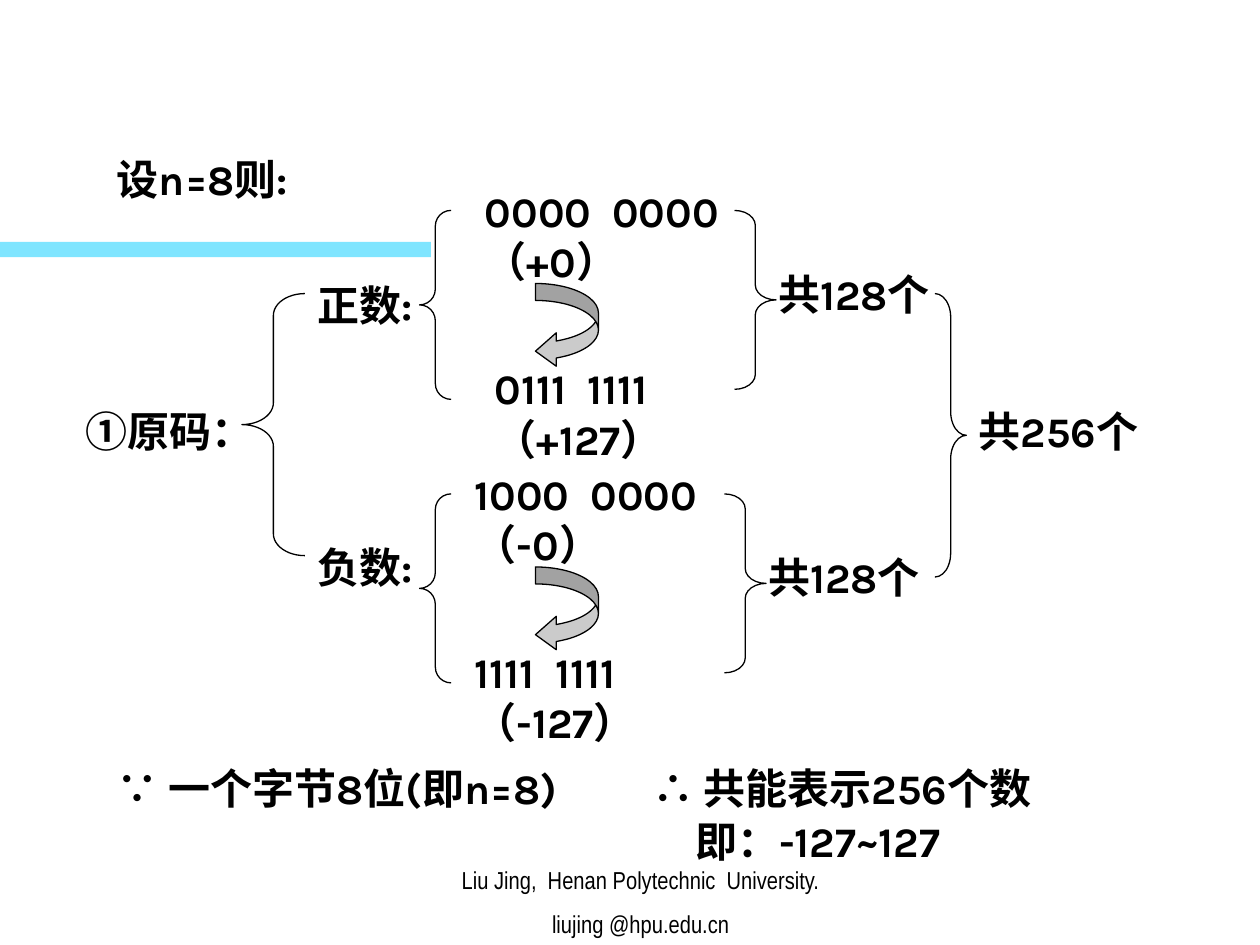
from lxml import etree
from pptx import Presentation
from pptx.dml.color import RGBColor
from pptx.enum.shapes import MSO_SHAPE
from pptx.enum.text import MSO_ANCHOR, MSO_AUTO_SIZE, PP_ALIGN
from pptx.oxml.ns import qn
from pptx.util import Inches, Pt

BLACK = RGBColor(0x00, 0x00, 0x00)
ARROW_GREY = RGBColor(0xCB, 0xCB, 0xCB)
ACCENT_CYAN = RGBColor(0x00, 0xCC, 0xFF)

BODY_FONT = "Karla"
SYMBOL_FONT = "Noto Sans CJK SC"
FOOTER_FONT = "Arial Narrow"

RECTANGLE = MSO_SHAPE.RECTANGLE
LEFT_BRACE = MSO_SHAPE.LEFT_BRACE
RIGHT_BRACE = MSO_SHAPE.RIGHT_BRACE
CURVED_ARROW = MSO_SHAPE.CURVED_LEFT_ARROW
TOP = MSO_ANCHOR.TOP
BOTTOM = MSO_ANCHOR.BOTTOM
FIT_SHAPE = MSO_AUTO_SIZE.SHAPE_TO_FIT_TEXT
NO_FIT = MSO_AUTO_SIZE.NONE
LEFT = PP_ALIGN.LEFT
CENTER = PP_ALIGN.CENTER


def add_run(paragraph, words, font_name, size, bold):
    run = paragraph.add_run()
    run.text = words
    run.font.name = font_name
    run.font.size = Pt(size)
    run.font.bold = bold
    run.font.color.rgb = BLACK
    east_asian = etree.SubElement(run.font._element, qn("a:ea"))
    east_asian.set("typeface", font_name)


def add_text(slide, words, left, top, width, height=0.5, symbol="", font_name=BODY_FONT,
             size=24, bold=True, align=LEFT, anchor=TOP, fit=FIT_SHAPE, gap=0):
    box = slide.shapes.add_textbox(Inches(left), Inches(top), Inches(width), Inches(height))
    frame = box.text_frame
    frame.word_wrap = True
    frame.auto_size = fit
    frame.vertical_anchor = anchor
    for index, line in enumerate(words.split("\n")):
        paragraph = frame.add_paragraph() if index else frame.paragraphs[0]
        paragraph.alignment = align
        if index:
            paragraph.space_before = Pt(gap)
        elif symbol:
            add_run(paragraph, symbol, SYMBOL_FONT, size, bold)
        add_run(paragraph, line, font_name, size, bold)


def add_plain_shape(slide, kind, left, top, width, height):
    shape = slide.shapes.add_shape(
        kind, Inches(left), Inches(top), Inches(width), Inches(height))
    shape.shadow.inherit = False
    return shape


def outline(shape):
    shape.line.color.rgb = BLACK
    shape.line.width = Pt(0.75)


def add_accent_bar(slide):
    bar = add_plain_shape(slide, RECTANGLE, 0, 1.92, 3.42, 0.12)
    bar.fill.solid()
    bar.fill.fore_color.rgb = ACCENT_CYAN
    colour = bar._element.spPr.find(qn("a:solidFill")).find(qn("a:srgbClr"))
    etree.SubElement(colour, qn("a:alpha")).set("val", "50000")
    bar.line.fill.background()


def add_brace(slide, kind, left, top, width, height):
    brace = add_plain_shape(slide, kind, left, top, width, height)
    brace.adjustments[0] = height / width / 12
    brace.fill.background()
    outline(brace)


def add_range_arrow(slide, top):
    arrow = add_plain_shape(slide, CURVED_ARROW, 4.25, top, 0.5, 0.67)
    for index, ratio in enumerate((0.27, 0.53, 0.33)):
        arrow.adjustments[index] = ratio
    arrow.fill.solid()
    arrow.fill.fore_color.rgb = ARROW_GREY
    outline(arrow)


def add_sign_group(slide, top, sign, first, last, count_left, count_brace):
    sign_top, first_text, first_left = sign[1], first[0], first[1]
    add_text(slide, sign[0], 2.42, sign_top, 1, 0.9)
    add_brace(slide, LEFT_BRACE, 3.33, top + 0.25, 0.25, 1.5)
    add_text(slide, first_text, first_left, top, first[2], 0.9)
    add_range_arrow(slide, top + 0.83)
    add_text(slide, last[0], last[1], top + 1.41, last[2], 0.9)
    add_brace(slide, RIGHT_BRACE, count_brace, top + 0.25, 0.33, 1.42)
    add_text(slide, "共128个", count_left, top + 0.66, 2.17)


def main():
    presentation = Presentation()
    presentation.slide_width = Inches(10)
    presentation.slide_height = Inches(7.5)
    slide = presentation.slides.add_slide(presentation.slide_layouts[6])

    add_accent_bar(slide)
    add_text(slide, "Liu Jing,  Henan Polytechnic  University.\nliujing @hpu.edu.cn",
             3, 6.75, 4.17, 0.75, font_name=FOOTER_FONT, size=14, bold=False,
             align=CENTER, anchor=BOTTOM, fit=NO_FIT, gap=8.8)

    add_text(slide, "设n=8则:", 0.83, 1.17, 2.42)
    add_text(slide, "原码：", 0.58, 3.17, 1.58, symbol="①")
    add_brace(slide, LEFT_BRACE, 1.92, 2.33, 0.5, 2.08)

    add_sign_group(slide, 1.42, ("正数:", 2.17), ("0000  0000（+0）", 3.75, 2.42),
                   ("0111  1111（+127）", 3.83, 2.42), count_left=6.08, count_brace=5.83)
    add_sign_group(slide, 3.67, ("负数:", 4.25), ("1000  0000（-0）", 3.67, 2.17),
                   ("1111  1111（-127）", 3.67, 2.25), count_left=6, count_brace=5.75)

    add_brace(slide, RIGHT_BRACE, 7.42, 2.33, 0.25, 2.25)
    add_text(slide, "共256个", 7.67, 3.17, 2)

    add_text(slide, "一个字节8位(即n=8)", 0.83, 6, 4.25, symbol="∵ ")
    add_text(slide, "共能表示256个数", 5.08, 6, 3.83, symbol="∴ ")
    add_text(slide, "即：-127~127", 5.42, 6.42, 3.58)

    presentation.save("out.pptx")


if __name__ == "__main__":
    main()
